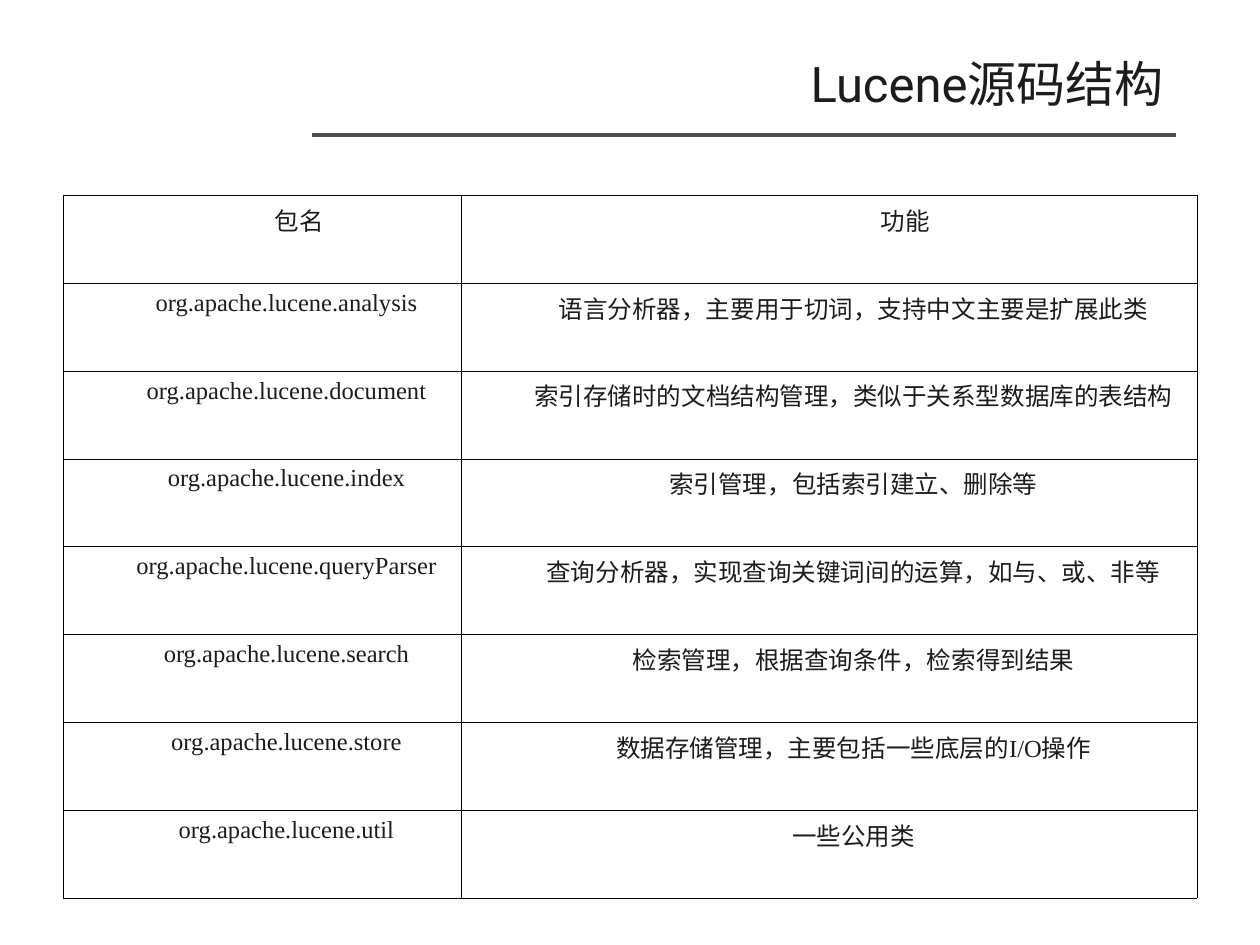
from typing import NamedTuple

from lxml.etree import SubElement
from pptx import Presentation
from pptx.dml.color import RGBColor
from pptx.enum.shapes import MSO_CONNECTOR
from pptx.enum.text import MSO_ANCHOR, PP_ALIGN
from pptx.oxml import parse_xml
from pptx.oxml.ns import nsdecls, qn
from pptx.util import Inches, Pt

TEXT_COLOR = RGBColor(0x1C, 0x1C, 0x1C)
RULE_COLOR = RGBColor(0x4D, 0x4D, 0x4D)
BORDER_COLOR = RGBColor(0x00, 0x00, 0x00)
BORDER_WIDTH = Pt(0.45)
COLUMN_WIDTHS = (3.16, 5.84)
TABLE_HEIGHT = 5.58
BODY_INDENT = 0.38
HEADER_INDENTS = (0.58, 1.2)


class PackageRow(NamedTuple):
    name: str
    purpose: str


HEADER = PackageRow("包名", "功能")
PACKAGES = [
    PackageRow("org.apache.lucene.analysis", "语言分析器，主要用于切词，支持中文主要是扩展此类"),
    PackageRow("org.apache.lucene.document", "索引存储时的文档结构管理，类似于关系型数据库的表结构"),
    PackageRow("org.apache.lucene.index", "索引管理，包括索引建立、删除等"),
    PackageRow("org.apache.lucene.queryParser", "查询分析器，实现查询关键词间的运算，如与、或、非等"),
    PackageRow("org.apache.lucene.search", "检索管理，根据查询条件，检索得到结果"),
    PackageRow("org.apache.lucene.store", "数据存储管理，主要包括一些底层的I/O操作"),
    PackageRow("org.apache.lucene.util", "一些公用类"),
]


def style_paragraph(paragraph, alignment: PP_ALIGN, font_name: str, size: float) -> None:
    paragraph.alignment = alignment
    paragraph.font.name = font_name
    paragraph.font.size = Pt(size)
    paragraph.font.color.rgb = TEXT_COLOR


def add_title(slide, text: str) -> None:
    box = slide.shapes.add_textbox(Inches(0.69), Inches(0.35), Inches(8.64), Inches(0.62))
    frame = box.text_frame
    frame.word_wrap = True
    frame.vertical_anchor = MSO_ANCHOR.MIDDLE
    frame.text = text
    style_paragraph(frame.paragraphs[0], PP_ALIGN.RIGHT, "Roboto", 28)


def add_rule(slide) -> None:
    rule = slide.shapes.add_connector(
        MSO_CONNECTOR.STRAIGHT, Inches(2.48), Inches(1.07), Inches(9.33), Inches(1.07))
    rule.line.color.rgb = RULE_COLOR
    rule.line.width = Pt(0)
    SubElement(rule._element.spPr, qn("a:effectLst"))


def add_borders(cell) -> None:
    properties = cell._tc.get_or_add_tcPr()
    for position, side in enumerate(("lnL", "lnR", "lnT", "lnB")):
        properties.insert(position, parse_xml(
            f'<a:{side} {nsdecls("a")} w="{BORDER_WIDTH}"><a:solidFill>'
            f'<a:srgbClr val="{BORDER_COLOR}"/></a:solidFill></a:{side}>'))


def fill_cell(cell, text: str, indent: float) -> None:
    cell.text = text
    cell.fill.background()
    add_borders(cell)
    paragraph = cell.text_frame.paragraphs[0]
    properties = paragraph._p.get_or_add_pPr()
    properties.set("marL", str(Inches(indent)))
    properties.set("indent", str(Inches(0.01)))
    style_paragraph(paragraph, PP_ALIGN.CENTER, "Times New Roman", 14)


def add_package_table(slide) -> None:
    rows = [HEADER, *PACKAGES]
    table = slide.shapes.add_table(
        len(rows), len(COLUMN_WIDTHS), Inches(0.5), Inches(1.55),
        Inches(sum(COLUMN_WIDTHS)), Inches(TABLE_HEIGHT)).table
    table.first_row = False
    table.horz_banding = False
    for column, width in zip(table.columns, COLUMN_WIDTHS):
        column.width = Inches(width)
    for row_index, row in enumerate(rows):
        table.rows[row_index].height = Inches(TABLE_HEIGHT / len(rows))
        for column_index, text in enumerate(row):
            indent = HEADER_INDENTS[column_index] if row is HEADER else BODY_INDENT
            fill_cell(table.cell(row_index, column_index), text, indent)


def main() -> None:
    presentation = Presentation()
    presentation.slide_width = Inches(10)
    presentation.slide_height = Inches(7.5)
    slide = presentation.slides.add_slide(presentation.slide_layouts[6])

    # Heading with its rule
    add_rule(slide)
    add_title(slide, "Lucene源码结构")

    # Packages and what they do
    add_package_table(slide)

    presentation.save("out.pptx")


if __name__ == "__main__":
    main()
